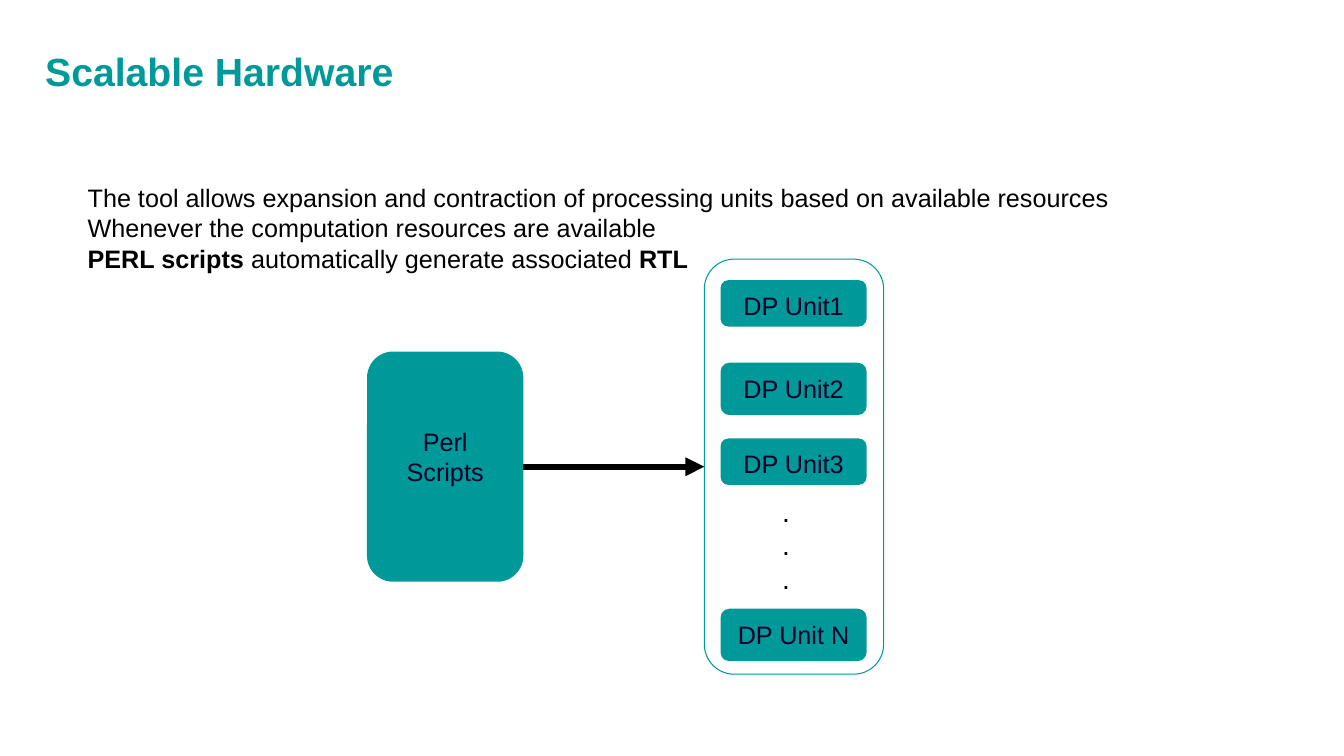
from lxml import etree
from pptx import Presentation, util as u
from pptx.dml import color
from pptx.enum import shapes, text
from pptx.oxml import ns

COLORS = {"teal": "009999", "navy": "000028", "black": "000000"}


def rgb(name):
    return color.RGBColor.from_string(COLORS[name])


def write(frame, lines, size=18, hue="black", bold=False, align="LEFT",
          anchor="TOP", inset=(0, 0, 0, 0), space=None):
    frame.word_wrap = True
    frame.vertical_anchor = text.MSO_ANCHOR[anchor]
    (frame.margin_left, frame.margin_top,
     frame.margin_right, frame.margin_bottom) = map(u.Cm, inset)
    for i, line in enumerate(lines):
        para = frame.add_paragraph() if i else frame.paragraphs[0]
        para.alignment = text.PP_ALIGN[align]
        para.line_spacing = space
        for part in [(line, bold)] if isinstance(line, str) else line:
            run = para.add_run()
            run.text, run.font.bold = part
            run.font.name = "Arial"
            run.font.size = u.Pt(size)
            run.font.color.rgb = rgb(hue)


class Deck:
    def __init__(self):
        self.prs = Presentation()
        self.prs.slide_width = u.Cm(33.87)
        self.prs.slide_height = u.Cm(19.05)
        self.slide = self.prs.slides.add_slide(self.prs.slide_layouts[6])

    def label(self, at, lines, **style):
        box = self.slide.shapes.add_textbox(*map(u.Cm, at))
        write(box.text_frame, lines, **style)

    def block(self, at, label=None, top=0.2):
        box = self.slide.shapes.add_shape(
            shapes.MSO_SHAPE.ROUNDED_RECTANGLE, *map(u.Cm, at))
        box.shadow.inherit = False
        if label:
            box.fill.solid()
            box.fill.fore_color.rgb = rgb("teal")
            box.line.fill.background()
            write(box.text_frame, [label], hue="navy", align="CENTER",
                  inset=(0.3, top, 0.3, 0.2))
        else:
            box.fill.background()
            box.line.color.rgb = rgb("teal")
            box.line.width = u.Pt(0.75)
        return box

    def arrow(self, start, end):
        link = self.slide.shapes.add_connector(
            shapes.MSO_CONNECTOR.STRAIGHT, 0, 0, 0, 0)
        link.begin_connect(start, 3)
        link.end_connect(end, 1)
        link.line.color.rgb = rgb("black")
        link.line.width = u.Pt(4.5)
        etree.SubElement(link.line._get_or_add_ln(), ns.qn("a:tailEnd"),
                         type="triangle")
        etree.SubElement(link._element.spPr, ns.qn("a:effectLst"))


def main():
    deck = Deck()
    deck.label((1.14, 0.84, 27.41, 1.6), ["Scalable Hardware"], size=28,
               hue="teal", bold=True, anchor="BOTTOM",
               inset=(0, 0, 0.89, 0.05), space=0.9)
    deck.label((2.21, 4.6, 29.46, 2.31), [
        "The tool allows expansion and contraction of processing units "
        "based on available resources",
        "Whenever the computation resources are available",
        [("PERL scripts ", True), ("automatically generate associated ", False),
         ("RTL", True)],
    ])
    deck.label((19.71, 12.45, 0.89, 2.57), ["."] * 3, size=20)
    units = [("1", 7.06, 1.17), ("2", 9.14, 1.32),
             ("3", 11.05, 1.17), (" N", 15.34, 1.32)]
    for mark, top, high in units:
        deck.block((18.16, top, 3.68, high), f"DP Unit{mark}")
    frame = deck.block((17.75, 6.53, 4.52, 10.46))
    perl = deck.block((9.25, 8.86, 3.94, 5.8), "Perl Scripts", top=1.68)
    deck.arrow(perl, frame)
    deck.prs.save("out.pptx")


if __name__ == "__main__":
    main()
